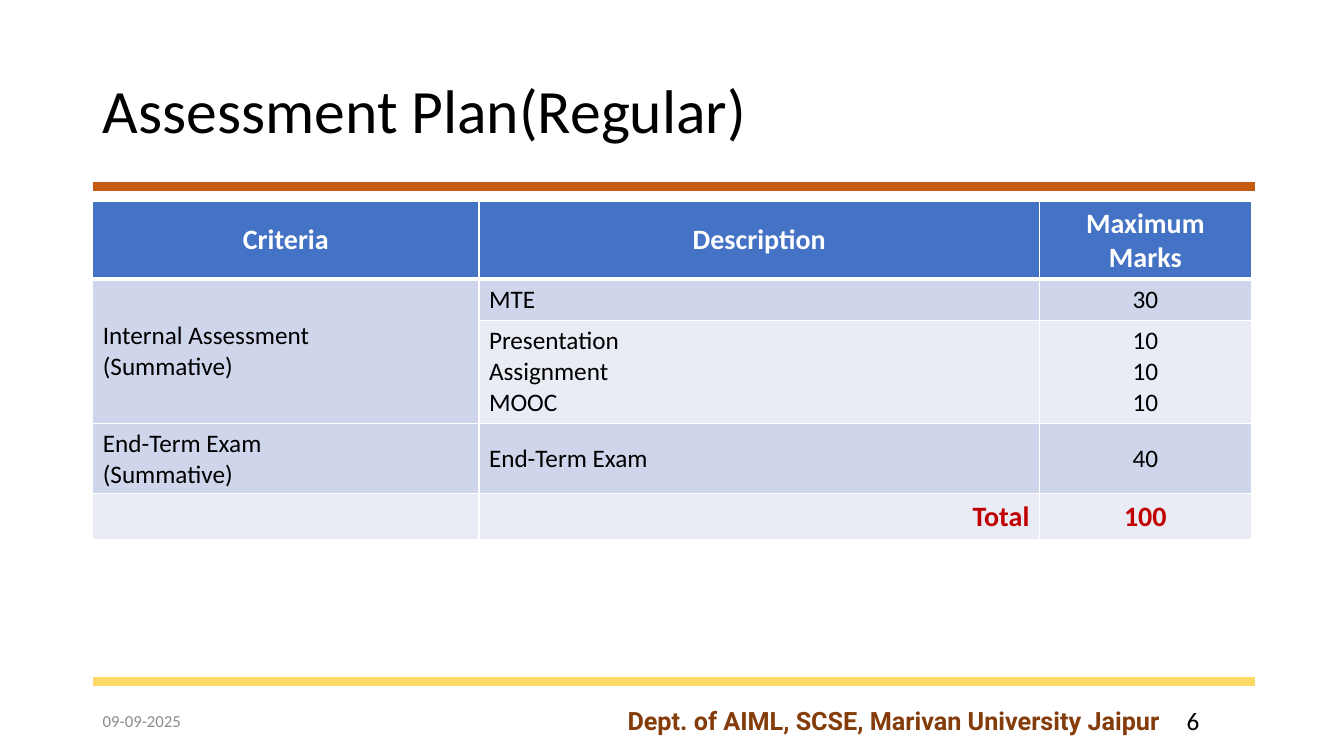
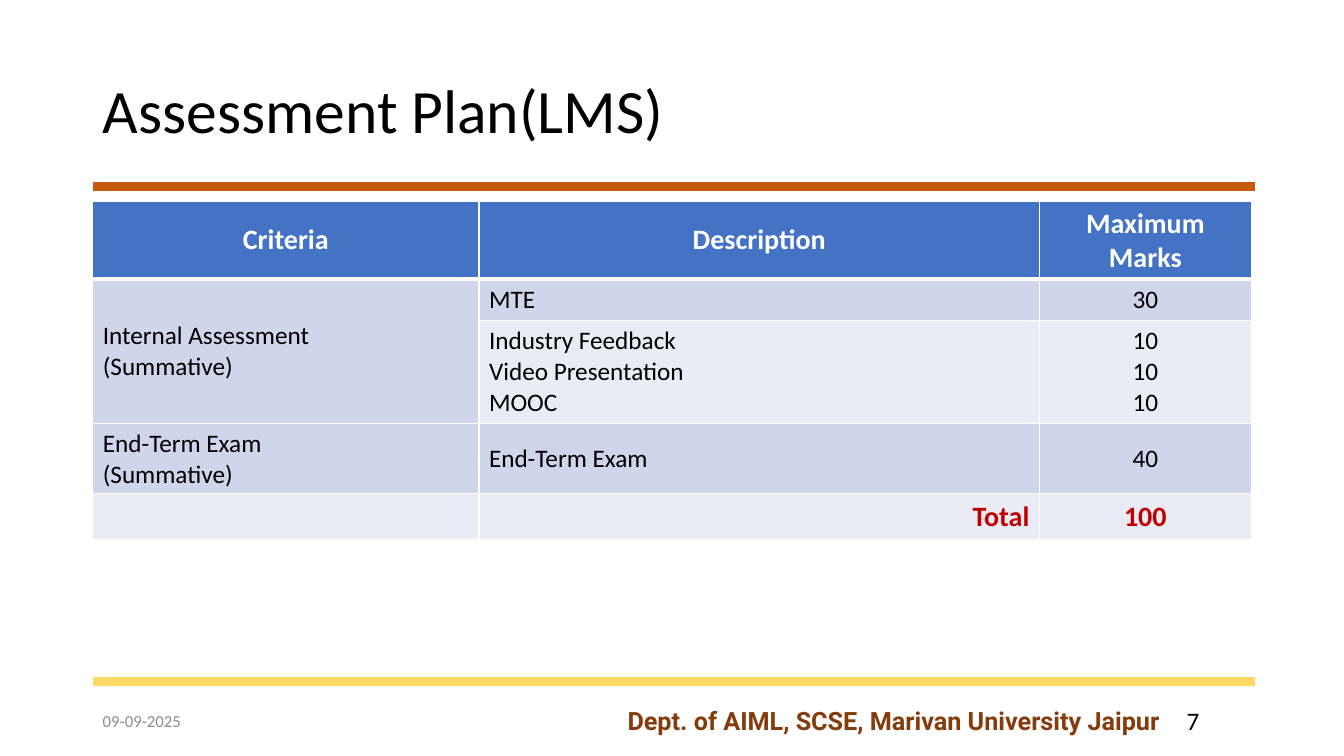
from dataclasses import dataclass

from lxml import etree
from pptx import Presentation
from pptx.dml.color import RGBColor
from pptx.enum.shapes import MSO_CONNECTOR
from pptx.enum.text import MSO_ANCHOR as Anchor, PP_ALIGN as Align
from pptx.oxml.ns import qn
from pptx.util import Inches, Pt

# Content
FIRST_NUMBER = 6
DATE = "09-09-2025"
DEPARTMENT = "Dept. of AIML, SCSE, Marivan University Jaipur"
PLANS = [
    ("Assessment Plan(Regular)", ["Presentation", "Assignment", "MOOC"]),
    ("Assessment Plan(LMS)", ["Industry Feedback", "Video Presentation", "MOOC"]),
]
HEADER = [["Criteria"], ["Description"], ["Maximum Marks"]]
INTERNAL = ["Internal Assessment", "(Summative)"]
FINAL = ["End-Term Exam", "(Summative)"]


def plan_rows(tasks):
    return [
        HEADER,
        [INTERNAL, ["MTE"], ["30"]],
        [[], tasks, ["10"] * len(tasks)],
        [FINAL, ["End-Term Exam"], ["40"]],
        [[], ["Total"], ["100"]],
    ]


# Theme
@dataclass(frozen=True)
class Theme:
    body_font: str = "Calibri"
    footer_font: str = "Roboto"
    ink: str = "000000"
    white: str = "FFFFFF"
    header: str = "4472C4"
    bands: tuple = ("CFD5EA", "E9EBF5")
    total: str = "C00000"
    top_rule: str = "C55A11"
    bottom_rule: str = "FFD966"
    date: str = "8C8C8C"
    department: str = "843C0B"
    title_size: int = 44
    strong_size: int = 20
    body_size: int = 18
    date_size: int = 12
    rule_width: int = 6


THEME = Theme()
LEFT, RIGHT, WIDTH = 0.92, 12.45, 11.5
FOOTER_TOP, FOOTER_HEIGHT = 6.95, 0.4
RULES = [(1.85, THEME.top_rule), (6.76, THEME.bottom_rule)]
COLUMNS = [3.83, 5.56, 2.1]
ROWS = [0.77, 0.41, 1.02, 0.7, 0.45]


def text_format(size, color=THEME.ink, bold=False, name=THEME.body_font):
    return {"size": Pt(size), "bold": bold, "name": name}, color


TITLE = text_format(THEME.title_size)
BODY = text_format(THEME.body_size)
TABLE_HEAD = text_format(THEME.strong_size, THEME.white, True)
TOTAL = text_format(THEME.strong_size, THEME.total, True)
FOOTERS = [  # left, width, format, alignment, anchor
    (LEFT, 3, text_format(THEME.date_size, THEME.date), Align.LEFT, Anchor.MIDDLE),
    (11.67, 0.74, BODY, Align.LEFT, Anchor.TOP),
    (4.42, 7.18, text_format(THEME.body_size, THEME.department, True,
                             THEME.footer_font), Align.RIGHT, Anchor.TOP),
]


# Helpers
def write(frame, lines, style, align=Align.LEFT):
    values, color = style
    for index, line in enumerate(lines):
        para = frame.add_paragraph() if index else frame.paragraphs[0]
        para.alignment = align
        span = para.add_run()
        span.text = line
        for key, value in values.items():
            setattr(span.font, key, value)
        span.font.color.rgb = RGBColor.from_string(color)


def add_rule(page, top, color):
    line = page.shapes.add_connector(MSO_CONNECTOR.STRAIGHT, Inches(LEFT),
                                     Inches(top), Inches(RIGHT), Inches(top))
    line.line.color.rgb = RGBColor.from_string(color)
    line.line.width = Pt(THEME.rule_width)
    etree.SubElement(line.element.spPr, qn("a:effectLst"))


def add_border(cell, side, width):
    border = etree.SubElement(cell._tc.get_or_add_tcPr(), qn(f"a:ln{side}"),
                              w=str(Pt(width)))
    fill = etree.SubElement(border, qn("a:solidFill"))
    etree.SubElement(fill, qn("a:srgbClr"), val=THEME.white)


def add_frame(page, title, number):
    heading = page.shapes.title
    heading.left, heading.top = Inches(LEFT), Inches(0.4)
    heading.width, heading.height = Inches(WIDTH), Inches(1.45)
    heading.text_frame.vertical_anchor = Anchor.MIDDLE
    write(heading.text_frame, [title], TITLE)
    heading.text_frame.paragraphs[0].line_spacing = 0.9

    for top, color in RULES:
        add_rule(page, top, color)

    texts = [DATE, str(number), DEPARTMENT]
    for text, (left, width, style, align, anchor) in zip(texts, FOOTERS):
        box = page.shapes.add_textbox(Inches(left), Inches(FOOTER_TOP),
                                      Inches(width), Inches(FOOTER_HEIGHT))
        box.text_frame.word_wrap = True
        box.text_frame.vertical_anchor = anchor
        write(box.text_frame, [text], style, align)


def cell_style(row, column):
    """Return the text format and alignment of a table cell."""
    if row == 0:
        return TABLE_HEAD, Align.CENTER
    is_total = row == len(ROWS) - 1
    if column == 2:
        return TOTAL if is_total else BODY, Align.CENTER
    return (TOTAL, Align.RIGHT) if is_total else (BODY, Align.LEFT)


def add_plan_table(page, rows):
    table = page.shapes.add_table(len(ROWS), len(COLUMNS), Inches(LEFT), Inches(2),
                                  Inches(WIDTH), Inches(sum(ROWS))).table
    table.first_row = table.horz_banding = False
    for column, width in zip(table.columns, COLUMNS):
        column.width = Inches(width)
    for row, height in zip(table.rows, ROWS):
        row.height = Inches(height)

    for r, row in enumerate(rows):
        for c, lines in enumerate(row):
            cell = table.cell(r, c)
            widths = {"L": 1, "R": 1, "T": 3 if r == 1 else 1, "B": 3 if r == 0 else 1}
            for side, width in widths.items():
                add_border(cell, side, width)
            color = THEME.bands[(r - 1) % 2] if r else THEME.header
            cell.fill.solid()
            cell.fill.fore_color.rgb = RGBColor.from_string(color)
            cell.vertical_anchor = Anchor.MIDDLE
            write(cell.text_frame, lines, *cell_style(r, c))
    # Internal assessment covers two rows
    table.cell(1, 0).merge(table.cell(2, 0))


def main():
    deck = Presentation()
    deck.slide_width, deck.slide_height = Inches(13.33), Inches(7.5)
    for number, (title, tasks) in enumerate(PLANS, FIRST_NUMBER):
        page = deck.slides.add_slide(deck.slide_layouts[5])
        add_frame(page, title, number)
        add_plan_table(page, plan_rows(tasks))
    deck.save("out.pptx")


if __name__ == "__main__":
    main()
